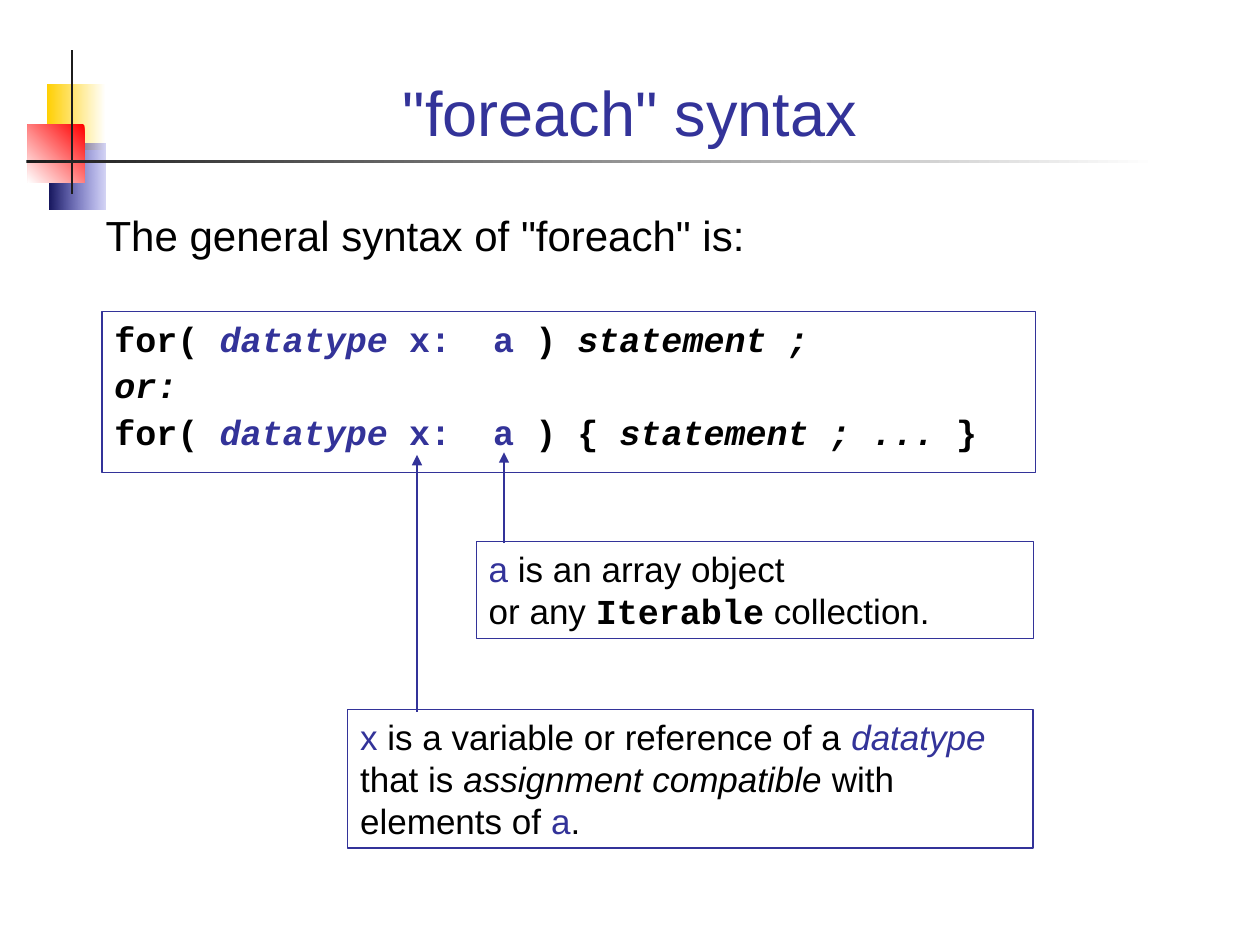
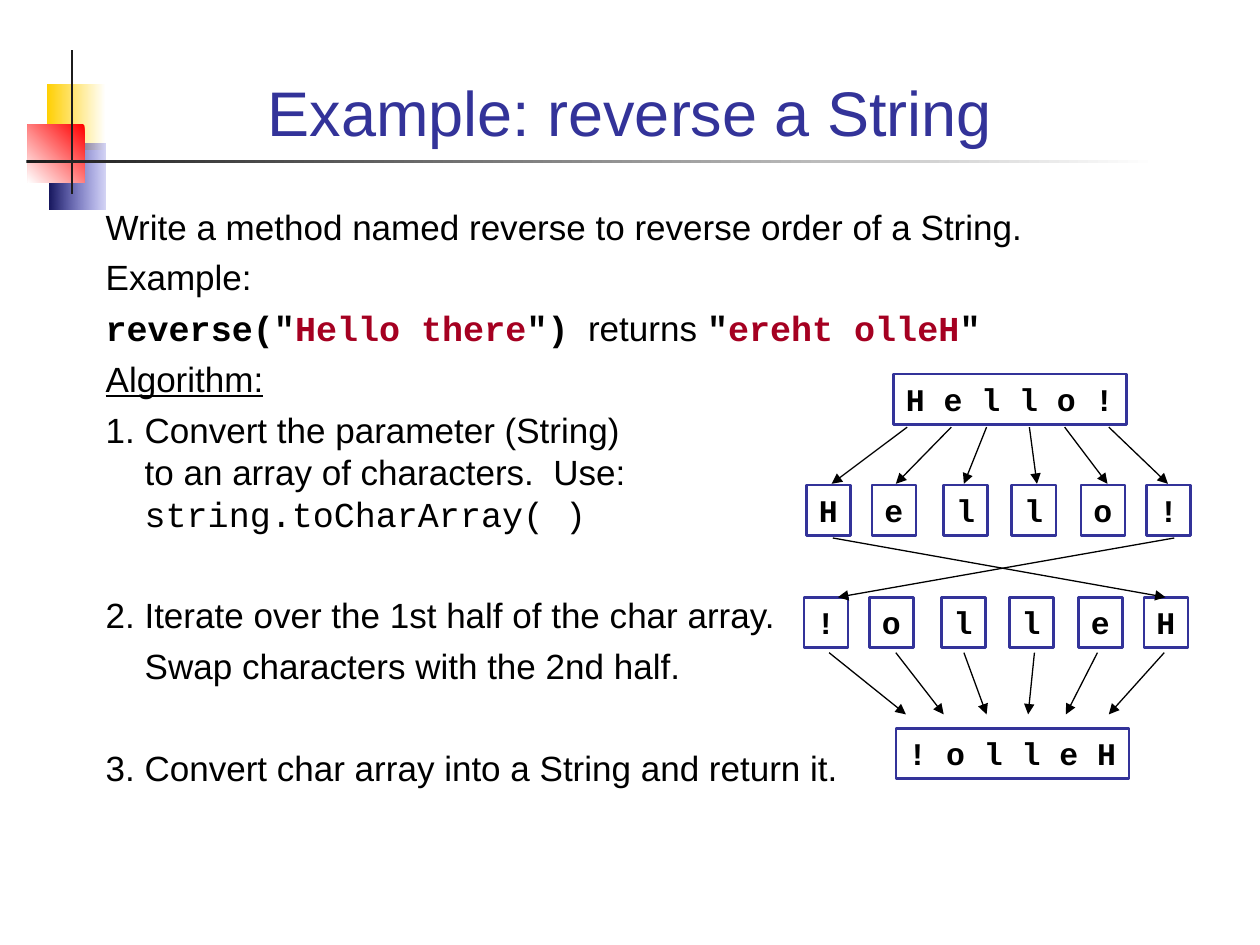
from lxml.etree import SubElement
from pptx import Presentation
from pptx.dml.color import RGBColor
from pptx.enum.shapes import MSO_CONNECTOR as Connector, MSO_SHAPE as Shape
from pptx.enum.text import MSO_ANCHOR as Anchor, PP_ALIGN as Align
from pptx.oxml.ns import qn
from pptx.util import Inches, Pt

COLORS = {
    "accent": "333399", "text": "000000", "string": "A50021", "white": "FFFFFF",
    "yellow": "FFCF01", "red": "FF0000", "navy": "17175E", "blue": "3333CC",
    "rule": "1C1C1C",
}
SANS, MONO = "Arial", "Courier New"
NUMBER_INDENT = 0.31
LETTER_LEFTS = (6.4, 6.92, 7.49, 8.03, 8.58, 9.1)
LETTER_SIZE = (0.35, 0.4)


def color(name):
    return RGBColor.from_string(COLORS[name])


def lengths(values):
    return [Inches(value) for value in values]


class Deck:
    def __init__(self):
        self.presentation = Presentation()
        self.presentation.slide_width = Inches(10)
        self.presentation.slide_height = Inches(7.5)
        self.layout = self.presentation.slide_layouts[5]
        self.slide = None

    def start_slide(self, title):
        self.slide = self.presentation.slides.add_slide(self.layout)
        shape = self.slide.shapes.title
        shape.left, shape.top, shape.width, shape.height = lengths((0.67, 0.28, 8.66, 0.95))
        frame = shape.text_frame
        frame.text = title
        frame.vertical_anchor = Anchor.BOTTOM
        paragraph = frame.paragraphs[0]
        paragraph.alignment = Align.CENTER
        font = paragraph.runs[0].font
        font.name, font.size = SANS, Pt(36)
        font.color.rgb = color("accent")

    def rectangle(self, place):
        shape = self.slide.shapes.add_shape(Shape.RECTANGLE, *lengths(place))
        shape.shadow.inherit = False
        shape.fill.background()
        shape.line.fill.background()
        return shape

    def band(self, place, start, end, angle=0, end_alpha=None):
        """Add a gradient rectangle to the layout, so that every slide shows it."""
        shape = self.rectangle(place)
        shape.fill.gradient()
        shape.fill.gradient_angle = angle
        for stop, name in zip(shape.fill.gradient_stops, (start, end)):
            stop.color.rgb = color(name)
        if end_alpha:
            end_color = shape.element.findall(".//" + qn("a:srgbClr"))[-1]
            SubElement(end_color, qn("a:alpha"), val=str(end_alpha * 1000))
        shape.element.nvSpPr.cNvPr.set("id", str(10 + len(self.layout.shapes)))
        self.layout.shapes.element.append(shape.element)

    def fill_text(self, frame, paragraphs, size, gap=0, marks=()):
        """Fill a frame; each paragraph is a list of (text, mark, ...) runs."""
        for index, runs in enumerate(paragraphs):
            paragraph = frame.paragraphs[0] if index == 0 else frame.add_paragraph()
            paragraph.alignment = Align.LEFT
            paragraph.line_spacing = Pt(size * 1.2)
            paragraph.space_before = Pt(gap if index else 0)
            for text, *run_marks in runs:
                self.add_run(paragraph, text, size, {*marks, *run_marks})

    def add_run(self, paragraph, text, size, marks):
        for index, line in enumerate(text.split("\n")):
            if index:
                paragraph.add_line_break()
            if not line:
                continue
            run = paragraph.add_run()
            run.text = line
            font = run.font
            font.name = MONO if "mono" in marks else SANS
            font.size = Pt(size)
            font.bold = "bold" in marks
            font.italic = "italic" in marks
            font.underline = "underline" in marks
            font.color.rgb = color(next((m for m in marks if m in COLORS), "text"))

    def text(self, place, paragraphs, size, gap=0):
        frame = self.slide.shapes.add_textbox(*lengths(place)).text_frame
        frame.word_wrap = True
        self.fill_text(frame, paragraphs, size, gap)
        return frame

    def box(self, place, paragraphs, size=20, gap=0, marks=(), line=0.75, fill=None, wrap=True):
        shape = self.rectangle(place)
        if fill:
            shape.fill.solid()
            shape.fill.fore_color.rgb = color(fill)
        shape.line.color.rgb = color("accent")
        shape.line.width = Pt(line)
        shape.text_frame.vertical_anchor = Anchor.TOP
        shape.text_frame.word_wrap = wrap
        self.fill_text(shape.text_frame, paragraphs, size, gap, marks)

    def letter_box(self, place, letters):
        self.box(place, [[(letters,)]], size=18, marks=("mono", "bold"),
                 line=1.5, fill="white", wrap=False)

    def letter_row(self, letters, top, shift=0):
        for letter, left in zip(letters, LETTER_LEFTS):
            self.letter_box((left + shift, top, *LETTER_SIZE), letter)

    def arrow(self, start, end, name="text", width=0.75):
        connector = self.slide.shapes.add_connector(
            Connector.STRAIGHT, *lengths((*start, *end)))
        connector.line.color.rgb = color(name)
        connector.line.width = Pt(width)
        properties = connector.element.spPr
        SubElement(properties.find(qn("a:ln")), qn("a:tailEnd"), type="triangle")
        SubElement(properties, qn("a:effectLst"))

    def arrows(self, starts, top, ends, bottom):
        for start, end in zip(starts, ends):
            self.arrow((start, top), (end, bottom))


def add_shared_bands(deck):
    deck.band((0.37, 0.67, 0.47, 0.52), "yellow", "white")
    deck.band((0.39, 1.14, 0.45, 0.52), "navy", "blue", end_alpha=20)
    deck.band((0.22, 0.99, 0.45, 0.46), "red", "white", angle=225)
    deck.band((0.56, 0.4, 0.02, 1.14), "rule", "rule")
    deck.band((0.21, 1.27, 8.98, 0.02), "rule", "white")


def add_syntax_slide(deck):
    deck.start_slide('"foreach" syntax')
    add_shared_bands(deck)
    loop_head = [("for( ",), ("datatype", "accent", "italic"), (" x:  a", "accent")]
    deck.box((0.81, 2.47, 7.41, 1.28), [
        [*loop_head, (" ) ",), ("statement ;", "italic")],
        [("or:", "italic")],
        [*loop_head, (" ) { ",), ("statement ; ... ", "italic"), ("}",)],
    ], gap=2.5, marks=("mono", "bold"))
    deck.text((0.74, 1.61, 8.84, 0.5), [[('The general syntax of "foreach" is:',)]], size=24)
    deck.box((3.78, 4.3, 4.42, 0.77), [[
        ("a", "accent"), (" is an array object\nor any ",),
        ("Iterable", "mono", "bold"), (" collection.",),
    ]])
    deck.box((2.76, 5.63, 5.44, 1.1), [[
        ("x", "accent"), (" is a variable or reference of a ",),
        ("datatype", "accent", "italic"), (" that is ",),
        ("assignment compatible", "italic"), (" with elements of ",),
        ("a", "accent"), (".",),
    ]])
    deck.arrow((4, 4.31), (4, 3.59), "accent", 1.5)
    deck.arrow((3.31, 5.65), (3.31, 3.61), "accent", 1.5)


def add_reverse_slide(deck):
    deck.start_slide("Example: reverse a String")
    code, string = ("mono", "bold"), ("mono", "bold", "string")
    frame = deck.text((0.74, 1.58, 7.98, 4.73), [
        [("Write a method named reverse to reverse order of a String.",)],
        [("Example:",)],
        [('reverse("', *code), ("Hello there", *string), ('")', *code),
         ("  returns ",), ('"', *code), ("ereht olleH", *string), ('"', *code)],
        [("Algorithm:", "underline")],
        [("1. Convert the parameter (String)\nto an array of characters.  Use:\n",),
         ("string.toCharArray( )", "mono")],
        [("2. Iterate over the 1st half of the char array.",)],
        [("Swap characters with the 2nd half.",)],
        [("3. Convert char array into a String and return it.",)],
    ], size=20, gap=5)
    for paragraph in frame.paragraphs[4:]:
        numbered = paragraph.text[0].isdigit()
        properties = paragraph._p.get_or_add_pPr()
        properties.set("marL", str(Inches(NUMBER_INDENT)))
        properties.set("indent", str(Inches(-NUMBER_INDENT if numbered else 0)))
    for step in (frame.paragraphs[5], frame.paragraphs[7]):
        step.space_before = Pt(34)

    deck.letter_box((7.09, 2.97, 1.85, 0.4), "H e l l o !")
    deck.letter_row("Hello!", 3.85)
    deck.arrows((7.2, 7.55, 7.83, 8.17, 8.45, 8.8), 3.39,
                (6.6, 7.11, 7.65, 8.23, 8.79, 9.27), 3.84)
    deck.letter_row("!olleH", 4.74, shift=-0.02)
    deck.arrows((6.61, 9.32), 4.27, (9.25, 6.65), 4.74)
    deck.letter_box((7.11, 5.78, 1.85, 0.4), "! o l l e H")
    deck.arrows((6.58, 7.11, 7.65, 8.21, 8.71, 9.24), 5.18,
                (7.19, 7.49, 7.83, 8.16, 8.46, 8.8), 5.67)


def main():
    deck = Deck()
    add_syntax_slide(deck)
    add_reverse_slide(deck)
    deck.presentation.save("out.pptx")


if __name__ == "__main__":
    main()
